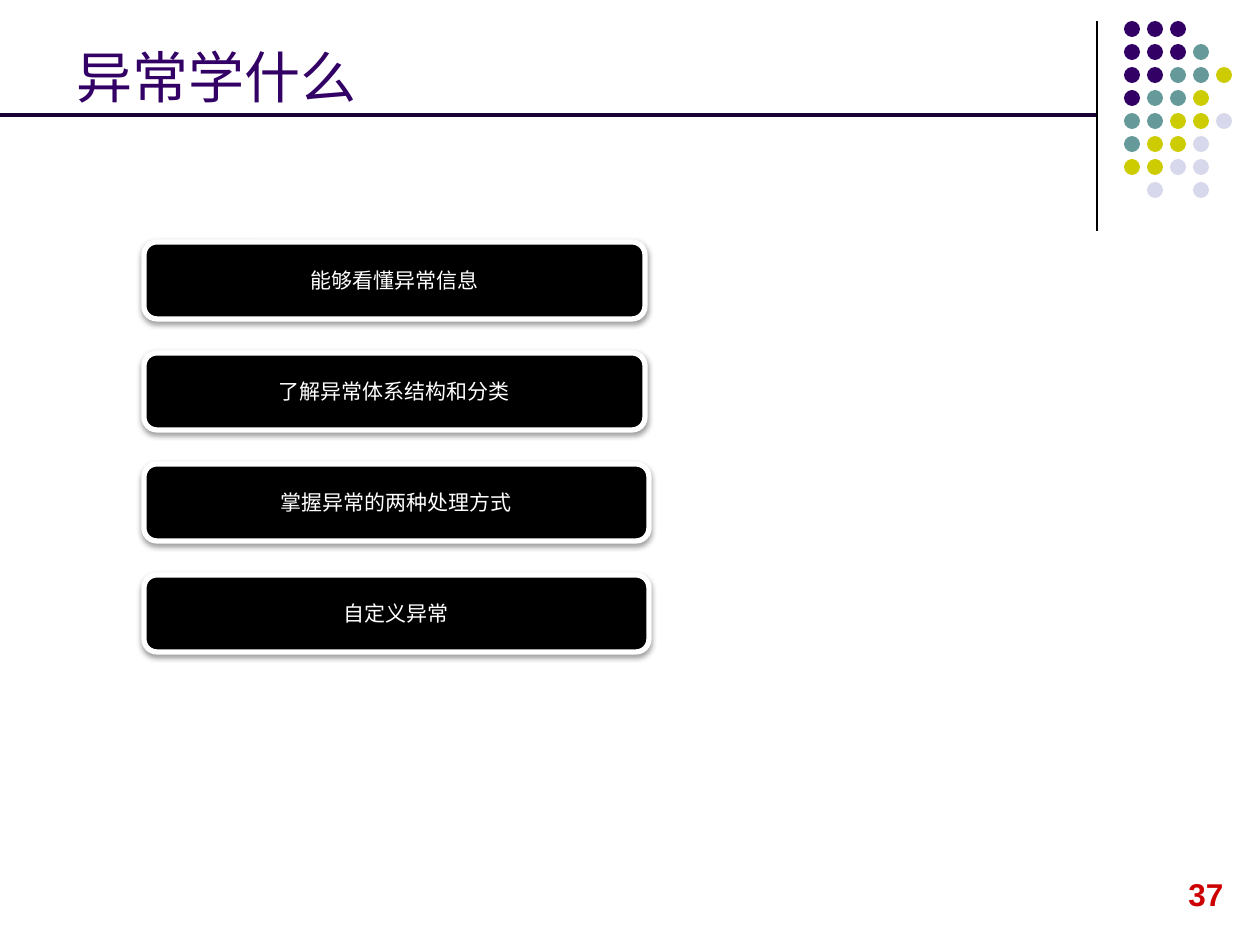
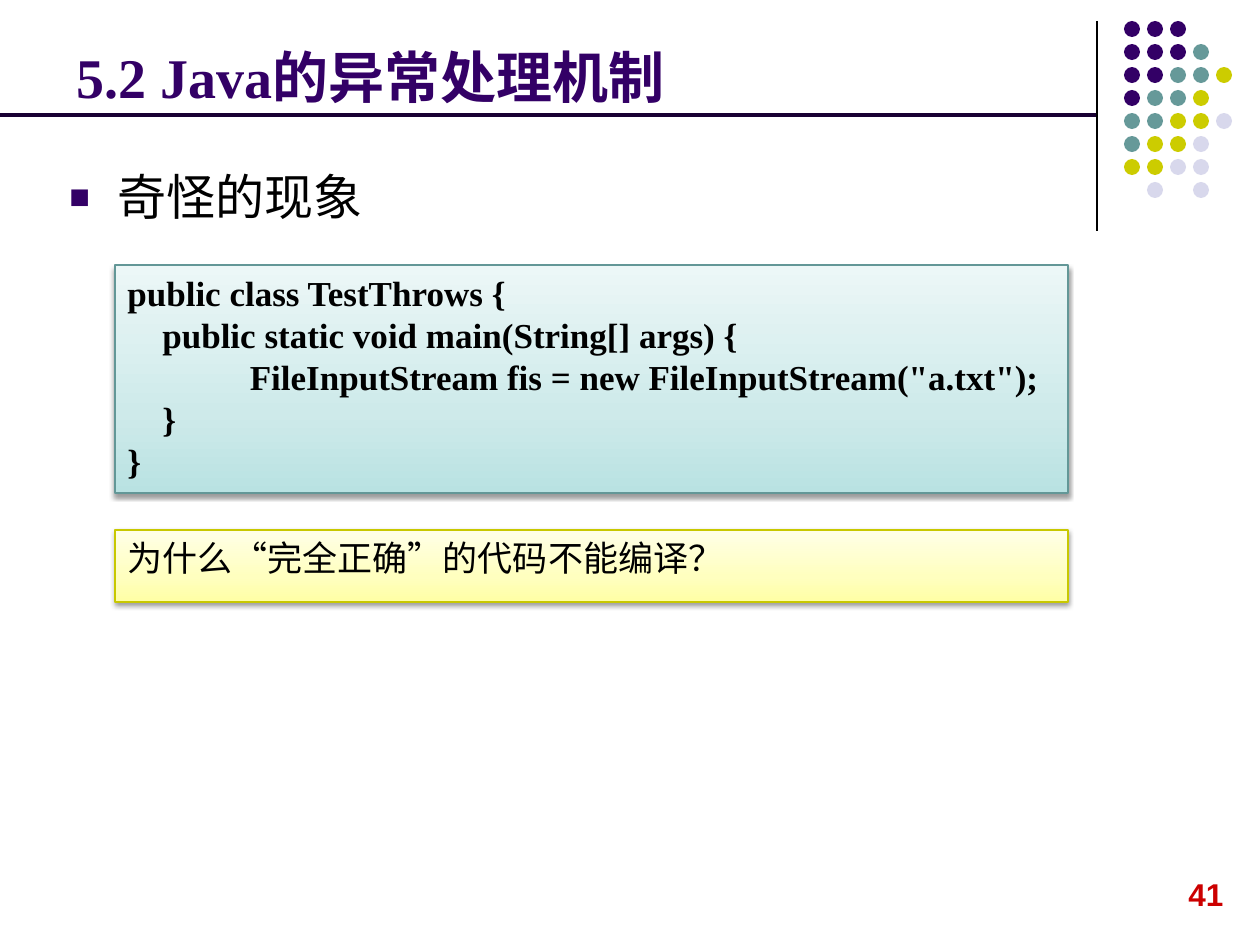
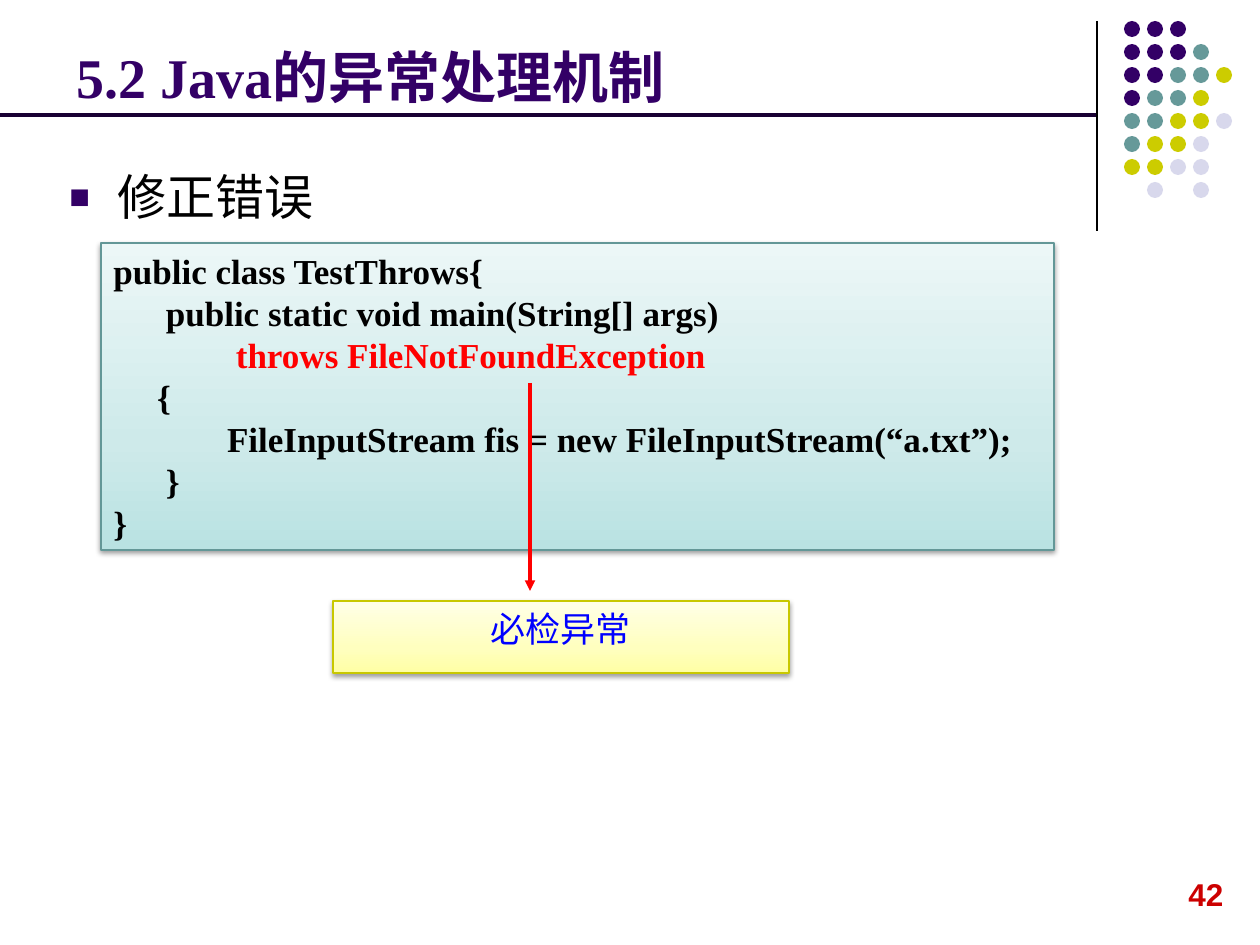
"""Build three lecture slides on Java exception handling."""
from lxml import etree
from pptx import Presentation
from pptx import util as u
from pptx.dml.color import RGBColor
from pptx.enum import shapes, text
from pptx.oxml.ns import qn

PX = u.Inches(1) / 126
SANS, SANS_JP, SERIF, ARIAL = "Noto Sans CJK SC", "Noto Sans CJK JP", "Times New Roman", "Arial"
PURPLE, TEAL, LIME, LILAC = "330066", "669999", "CCCC00", "D8D8EC"
BLACK, WHITE, RED = "000000", "FFFFFF", "FF0000"

THEME = {
    "text": {
        "plain title": dict(name=SANS, size=32, color=PURPLE),
        "title": dict(name=SERIF, size=32, color=PURPLE, bold=True),
        "heading": dict(name=SERIF, size=28, color=BLACK),
        "goal": dict(name=SANS_JP, size=12, color=WHITE),
        "code": dict(name=SERIF, size=20, color=BLACK, bold=True),
        "throws": dict(name=SERIF, size=20, color=RED, bold=True),
        "question": dict(name=SERIF, size=20, color=BLACK),
        "answer": dict(name=SERIF, size=20, color="0000FF"),
        "page": dict(name=ARIAL, size=18, color="CC0000", bold=True),
    },
    "panel": {
        "goal": dict(fill=[(0, BLACK)], line=WHITE, width=3),
        "code": dict(fill=[(0, "B9E2E2"), (35, "CEEAEA"), (100, "ECF7F7")], line="639797", width=0.75),
        "note": dict(fill=[(0, "FFFFA5"), (35, "FFFFBF"), (100, "FFFFE7")], line="C8C800", width=0.75),
    },
    "dot": {"P": PURPLE, "T": TEAL, "L": LIME, "V": LILAC},
}

DOTS = ["PPP", "PPPT", "PPTTL", "PTTL", "TTLLV", "TLLV", "LLVV", " V V"]
DOT_LEFT, DOT_TOP, DOT_SIZE, DOT_PITCH = 1124, 21, 16, 23
GOAL_LEFT, GOAL_TOP, GOAL_HEIGHT, GOAL_PITCH = 144, 242, 77, 111

GOALS = [
    ("能够看懂异常信息", 501),
    ("了解异常体系结构和分类", 501),
    ("掌握异常的两种处理方式", 505),
    ("自定义异常", 505),
]
MECHANISM = "5.2 Java的异常处理机制"

SLIDES = [
    dict(page="37", title="异常学什么", style="plain title", goals=GOALS),
    dict(page="41", title=MECHANISM, heading="奇怪的现象", panels=[
        ("code", (115, 265, 953, 228), "l", [
            ("public class TestThrows {", "code"),
            ("    public static void main(String[] args) {", "code"),
            ('              FileInputStream fis = new FileInputStream("a.txt");', "code"),
            ("    }", "code"),
            ("}", "code"),
        ]),
        ("note", (115, 530, 953, 72), "l", [("为什么“完全正确”的代码不能编译？", "question")]),
    ]),
    dict(page="42", title=MECHANISM, heading="修正错误", panels=[
        ("code", (101, 243, 953, 307), "l", [
            ("public class TestThrows{", "code"),
            ("      public static void main(String[] args)", "code"),
            ("              throws FileNotFoundException", "throws"),
            ("     {", "code"),
            ("             FileInputStream fis = new FileInputStream(“a.txt”);", "code"),
            ("      }", "code"),
            ("}", "code"),
        ]),
        ("note", (333, 601, 456, 72), "c", [("必检异常", "answer")]),
    ], arrow=(530, 383, 530, 591)),
]


def px(*values):
    return [round(v * PX) for v in values]


def rgb(value):
    return RGBColor.from_string(value)


def sub(parent, tag, **attrs):
    return etree.SubElement(parent, qn(tag), {k: str(v) for k, v in attrs.items()})


def write(tf, lines, align="l", anchor="TOP", wrap=True):
    tf.word_wrap = wrap
    tf.vertical_anchor = text.MSO_ANCHOR[anchor]
    for i, (words, style) in enumerate(lines):
        p = tf.paragraphs[0] if i == 0 else tf.add_paragraph()
        p.alignment = {"l": text.PP_ALIGN.LEFT, "c": text.PP_ALIGN.CENTER}[align]
        r = p.add_run()
        r.text = words
        for key, value in THEME["text"][style].items():
            if key == "color":
                r.font.color.rgb = rgb(value)
            else:
                setattr(r.font, key, u.Pt(value) if key == "size" else value)
        east = r.font.name if r.font.name in (SANS, SANS_JP) else SANS
        latin = r.font._element.find(qn("a:latin"))
        latin.addnext(etree.Element(qn("a:ea"), typeface=east))


def label(s, box, words, style, **layout):
    tf = s.shapes.add_textbox(*px(*box)).text_frame
    write(tf, [(words, style)], **layout)
    return tf


def line(s, ends, color, width, arrow=False):
    c = s.shapes.add_connector(shapes.MSO_CONNECTOR.STRAIGHT, *px(*ends))
    c.line.color.rgb = rgb(color)
    c.line.width = u.Pt(width)
    if arrow:
        sub(c.line._get_or_add_ln(), "a:tailEnd", type="triangle")
    sub(c._element.spPr, "a:effectLst")


def panel(s, kind, box, align, lines, shape="RECTANGLE", anchor="TOP"):
    look = THEME["panel"][kind]
    sp = s.shapes.add_shape(shapes.MSO_SHAPE[shape], *px(*box))
    if len(look["fill"]) == 1:
        sp.fill.solid()
        sp.fill.fore_color.rgb = rgb(look["fill"][0][1])
    else:
        sp.fill.gradient()
        sp.fill.gradient_angle = 90
        stops = sp._element.spPr.find(qn("a:gradFill")).find(qn("a:gsLst"))
        for old in list(stops):
            stops.remove(old)
        for pos, color in look["fill"]:
            sub(sub(stops, "a:gs", pos=pos * 1000), "a:srgbClr", val=color)
    sp.line.color.rgb = rgb(look["line"])
    sp.line.width = u.Pt(look["width"])
    sp.shadow.inherit = False
    shadow = sub(sp._element.spPr.find(qn("a:effectLst")), "a:outerShdw", blurRad=u.Pt(3.1),
                 dist=u.Pt(1.6), dir=5400000, rotWithShape=0)
    sub(sub(shadow, "a:srgbClr", val=BLACK), "a:alpha", val=38000)
    write(sp.text_frame, lines, align, anchor)


def heading(s, words):
    tf = label(s, (57, 130, 1040, 102), words, "heading", anchor="BOTTOM")
    pr = tf.paragraphs[0]._p.get_or_add_pPr()
    indent, = px(48)
    pr.set("marL", str(indent))
    pr.set("indent", str(-indent))
    sub(sub(pr, "a:buClr"), "a:srgbClr", val=PURPLE)
    sub(pr, "a:buSzPct", val=70000)
    sub(pr, "a:buFont", typeface=ARIAL)
    sub(pr, "a:buChar", char="■")


def frame(s, page, title, style):
    line(s, (1097, 21, 1097, 231), BLACK, 0.75)
    dots = s.shapes.add_group_shape()
    for row, codes in enumerate(DOTS):
        for col, code in enumerate(codes):
            if code == " ":
                continue
            box = px(DOT_LEFT + col * DOT_PITCH, DOT_TOP + row * DOT_PITCH, DOT_SIZE, DOT_SIZE)
            sp = dots.shapes.add_shape(shapes.MSO_SHAPE.OVAL, *box)
            sp.fill.solid()
            sp.fill.fore_color.rgb = rgb(THEME["dot"][code])
            sp.line.fill.background()
            sp.shadow.inherit = False
    label(s, (1176, 869, 60, 50), page, "page", wrap=False)
    label(s, (64, 16, 1040, 100), title, style, anchor="BOTTOM")
    line(s, (0, 115, 1096, 115), "190033", 2.25)


def main():
    prs = Presentation()
    prs.slide_width, prs.slide_height = px(1260, 945)
    for content in SLIDES:
        s = prs.slides.add_slide(prs.slide_layouts[6])
        frame(s, content["page"], content["title"], content.get("style", "title"))
        if "heading" in content:
            heading(s, content["heading"])
        for i, (words, width) in enumerate(content.get("goals", [])):
            box = (GOAL_LEFT, GOAL_TOP + i * GOAL_PITCH, width, GOAL_HEIGHT)
            panel(s, "goal", box, "c", [(words, "goal")], "ROUNDED_RECTANGLE", "MIDDLE")
        for item in content.get("panels", []):
            panel(s, *item)
        if "arrow" in content:
            line(s, content["arrow"], RED, 2, arrow=True)
    prs.save("out.pptx")


if __name__ == "__main__":
    main()
